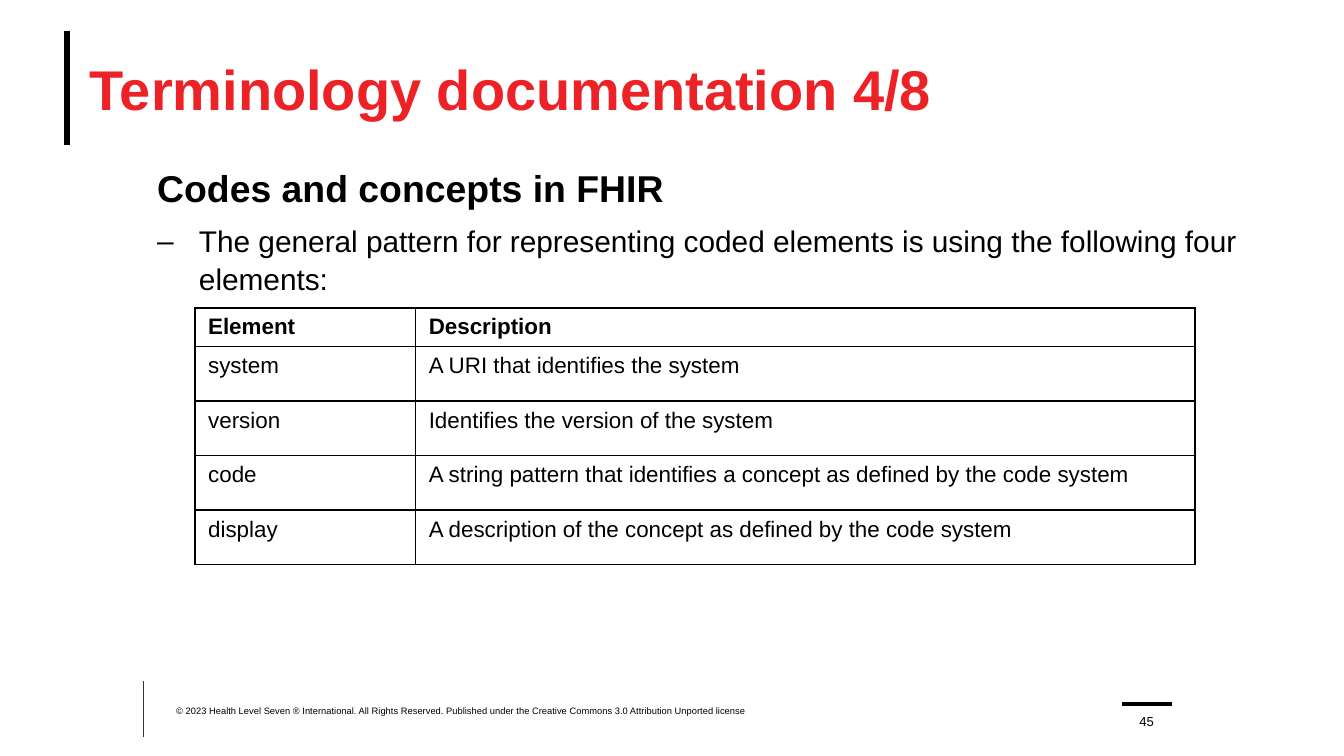
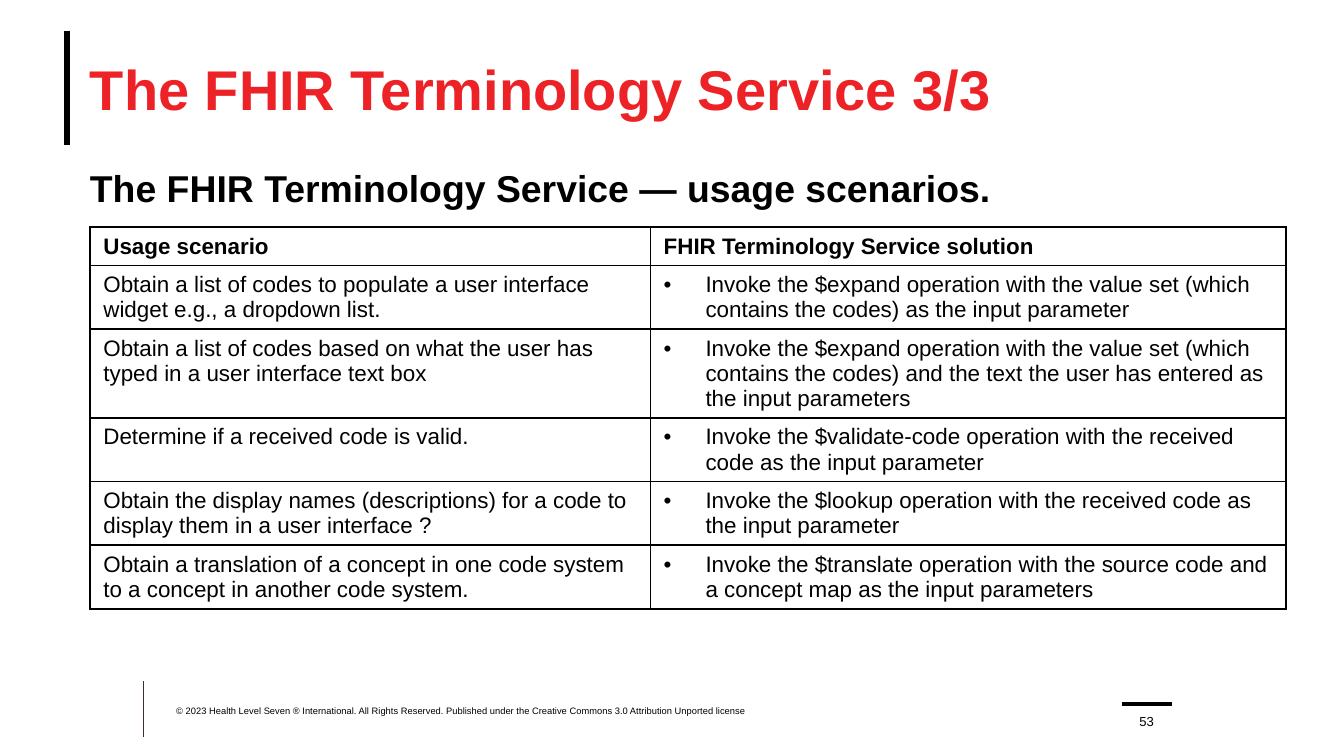
"""Build two FHIR terminology slides with titles, tables and footers."""
import pptx
import pptx.util
import pptx.dml.color
import pptx.enum.shapes
import pptx.enum.text
import pptx.oxml.ns
from lxml import etree

Cm = pptx.util.Cm
Pt = pptx.util.Pt
ALIGN = pptx.enum.text.PP_ALIGN
ANCHOR = pptx.enum.text.MSO_ANCHOR
qn = pptx.oxml.ns.qn

INK = {"title": "EC2227", "text": "000000", "rule": "3D3029"}
FONT = "Arial"
NOTICE = (
    "© 2023 Health Level Seven ® International. All Rights Reserved. "
    "Published under the Creative Commons 3.0 Attribution Unported license"
)
RULES = [
    (1.27, 0.58, 1.27, 2.74, "text", 3.25),
    (2.72, 12.88, 2.72, 13.94, "rule", 0.5),
    (21.21, 13.31, 22.15, 13.31, "text", 2),
]
PAGES = [
    {
        "title": "Terminology documentation 4/8",
        "number": "45",
        "body": [
            ("Codes and concepts in FHIR",
             dict(size=20, bold=True, level=1, left=1.27)),
            ("The general pattern for representing coded elements is using "
             "the following four elements:",
             dict(size=16, level=1, left=2.06, hang=0.79, bullet="–", before=6)),
        ],
        "place": (3.68, 5.82),
        "widths": (4.17, 14.73),
        "mark": None,
        "rows": [
            ("Element", "Description"),
            ("system", "A URI that identifies the system"),
            ("version", "Identifies the version of the system"),
            ("code", "A string pattern that identifies a concept as defined by the code system"),
            ("display", "A description of the concept as defined by the code system"),
        ],
    },
    {
        "title": "The FHIR Terminology Service 3/3",
        "number": "53",
        "body": [
            ("The FHIR Terminology Service —\u00a0usage scenarios.".replace("\u00a0", " "),
             dict(size=20, bold=True)),
        ],
        "place": (1.7, 4.29),
        "widths": (10.59, 12.01),
        "mark": "•",
        "rows": [
            ("Usage scenario", "FHIR Terminology Service solution"),
            ("Obtain a list of codes to populate a user interface widget e.g., a dropdown list.",
             "Invoke the $expand operation with the value set (which contains the codes) "
             "as the input parameter"),
            ("Obtain a list of codes based on what the user has typed in a user interface text box",
             "Invoke the $expand operation with the value set (which contains the codes) "
             "and the text the user has entered as the input parameters"),
            ("Determine if a received code is valid.",
             "Invoke the $validate-code operation with the received code as the input parameter"),
            ("Obtain the display names (descriptions) for a code to display them in a user interface ?",
             "Invoke the $lookup operation with the received code as the input parameter"),
            ("Obtain a translation of a concept in one code system to a concept in another code system.",
             "Invoke the $translate operation with the source code and a concept map "
             "as the input parameters"),
        ],
    },
]


def write(para, text, size=12, bold=False, ink="text", align=ALIGN.LEFT,
          level=0, left=0, hang=0, bullet=None, before=0, lead=1.0):
    """Fill a paragraph with one formatted run."""
    para.level = level
    props = para._p.get_or_add_pPr()
    props.set("marL", str(Cm(left)))
    props.set("indent", str(-Cm(hang)))
    if bullet:
        etree.SubElement(props, qn("a:buFont"), typeface=FONT)
        etree.SubElement(props, qn("a:buChar"), char=bullet)
    else:
        etree.SubElement(props, qn("a:buNone"))
    para.alignment = align
    para.space_before = Pt(before)
    para.line_spacing = lead
    run = para.add_run()
    run.text = text
    run.font.name = FONT
    run.font.size = Pt(size)
    run.font.bold = bold
    run.font.color.rgb = pptx.dml.color.RGBColor.from_string(INK[ink])


def frame(shape, left, top, width, height, anchor):
    """Place a text shape and return its bare frame."""
    shape.left, shape.top = Cm(left), Cm(top)
    shape.width, shape.height = Cm(width), Cm(height)
    text = shape.text_frame
    text.margin_left = text.margin_top = text.margin_right = text.margin_bottom = 0
    text.word_wrap = True
    text.auto_size = pptx.enum.text.MSO_AUTO_SIZE.NONE
    text.vertical_anchor = anchor
    return text


deck = pptx.Presentation()
deck.slide_width, deck.slide_height = Cm(25.4), Cm(14.29)

for page in PAGES:
    slide = deck.slides.add_slide(deck.slide_layouts[1])

    for x1, y1, x2, y2, ink, weight in RULES:
        rule = slide.shapes.add_connector(
            pptx.enum.shapes.MSO_CONNECTOR.STRAIGHT, Cm(x1), Cm(y1), Cm(x2), Cm(y2))
        rule.line.color.rgb = pptx.dml.color.RGBColor.from_string(INK[ink])
        rule.line.width = Pt(weight)
        etree.SubElement(rule._element.spPr, qn("a:effectLst"))

    title = frame(slide.shapes.title, 1.7, 0.58, 22.86, 2.18, ANCHOR.MIDDLE)
    write(title.paragraphs[0], page["title"], size=30, bold=True, ink="title")

    body = frame(slide.placeholders[1], 1.7, 3.08, 22.86, 9.85, ANCHOR.TOP)
    for i, (text, style) in enumerate(page["body"]):
        para = body.add_paragraph() if i else body.paragraphs[0]
        write(para, text, lead=1.05, **style)

    box = slide.shapes.add_textbox(0, 0, 0, 0)
    notice = frame(box, 3.33, 13.33, 12.57, 0.43, ANCHOR.TOP)
    write(notice.paragraphs[0], NOTICE, size=5)

    box = slide.shapes.add_textbox(0, 0, 0, 0)
    number = frame(box, 21.29, 13.36, 0.76, 0.43, ANCHOR.BOTTOM)
    write(number.paragraphs[0], page["number"], size=7, align=ALIGN.CENTER)

    rows, widths = page["rows"], page["widths"]
    left, top = page["place"]
    grid = slide.shapes.add_table(
        len(rows), len(widths), Cm(left), Cm(top), Cm(sum(widths)),
        Cm(0.56 + 1.03 * (len(rows) - 1))).table
    grid.first_row = grid.horz_banding = False
    for col, width in zip(grid.columns, widths):
        col.width = Cm(width)
    for r, row in enumerate(rows):
        grid.rows[r].height = Cm(1.03 if r else 0.56)
        for c, text in enumerate(row):
            cell = grid.cell(r, c)
            props = cell._tc.get_or_add_tcPr()
            for side in "LRTB":
                edge = etree.SubElement(props, qn("a:ln" + side), w=str(Pt(1)))
                fill = etree.SubElement(edge, qn("a:solidFill"))
                etree.SubElement(fill, qn("a:srgbClr"), val=INK["text"])
            cell.fill.background()
            mark = page["mark"] if r and c else None
            inset = 0.79 if mark else 0
            write(cell.text_frame.paragraphs[0], text, bold=r == 0,
                  left=inset, hang=inset, bullet=mark)

deck.save("out.pptx")
